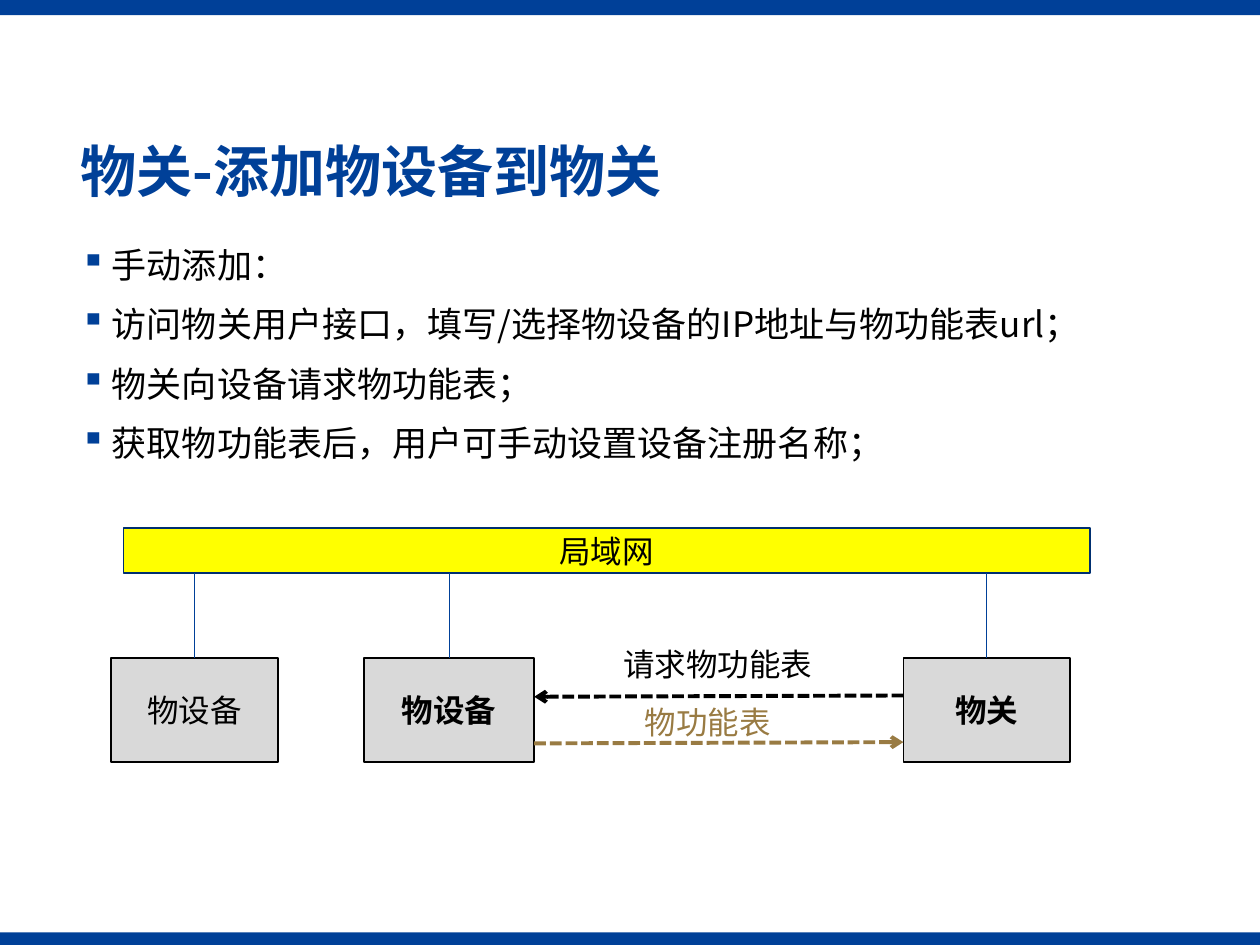
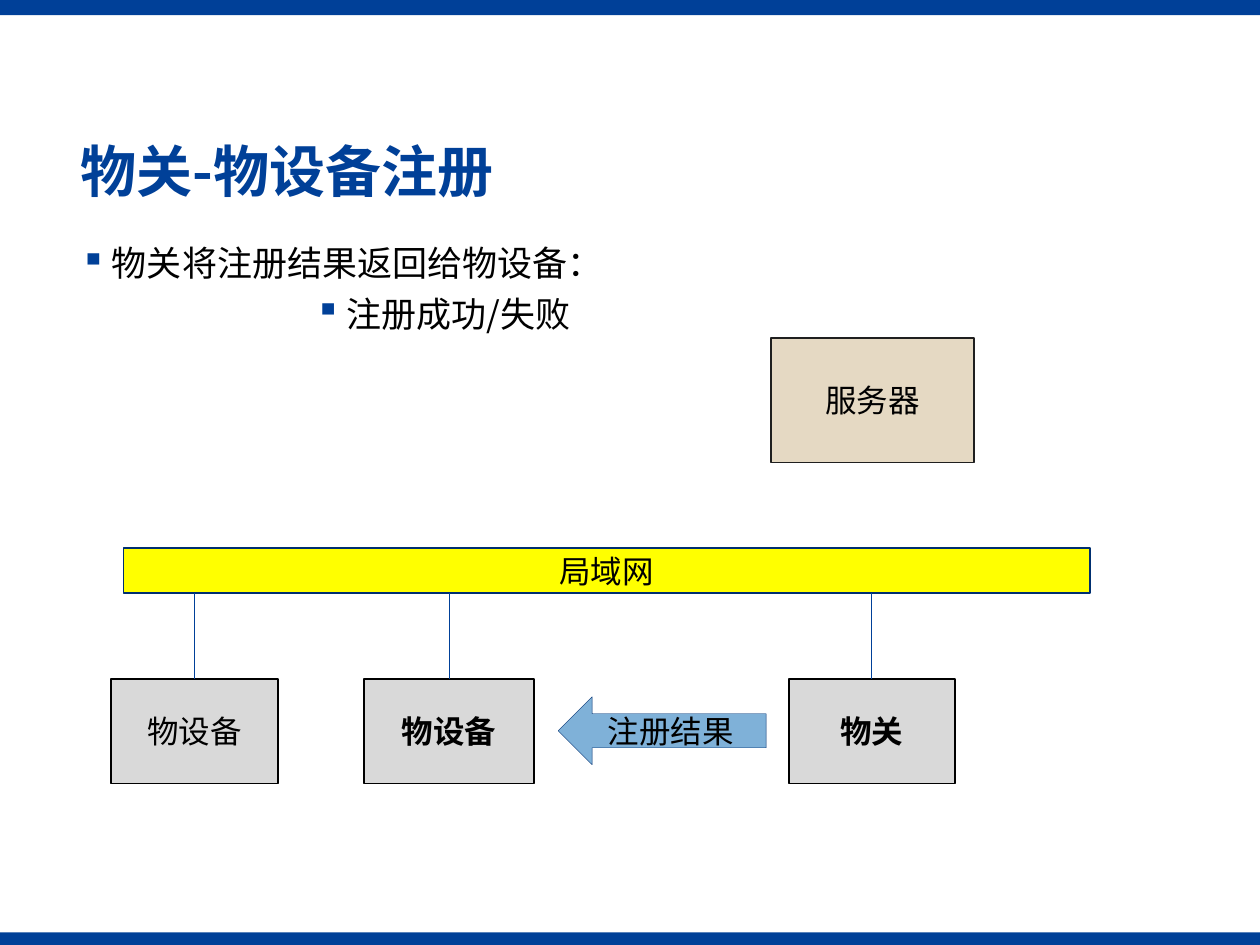
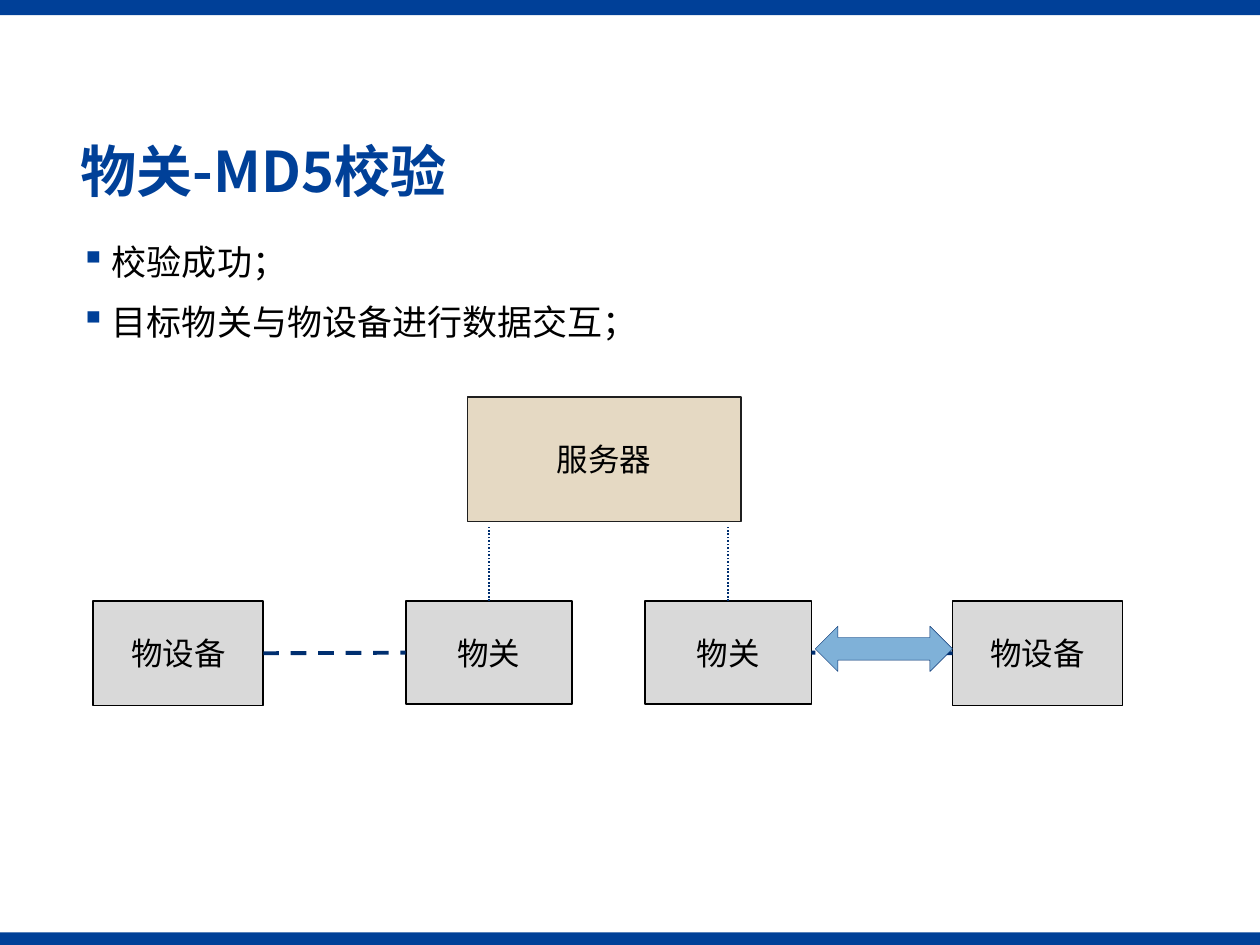
from dataclasses import dataclass

from lxml.etree import SubElement
from pptx import Presentation
from pptx.dml.color import RGBColor
from pptx.enum.dml import MSO_LINE
from pptx.enum.shapes import MSO_CONNECTOR, MSO_SHAPE
from pptx.enum.text import MSO_ANCHOR, MSO_AUTO_SIZE, PP_ALIGN
from pptx.oxml.ns import qn
from pptx.util import Inches, Pt


@dataclass(frozen=True)
class Theme:
    """Colours, font and type sizes of the deck."""
    blue: str = "004098"
    navy: str = "002F70"
    black: str = "000000"
    grey: str = "D9D9D9"
    yellow: str = "FFFF00"
    sand: str = "E5D9C3"
    charcoal: str = "1F1F1F"
    sky: str = "7FB1D8"
    bronze: str = "997B43"
    font: str = "Noto Sans CJK SC"
    title_size: int = 32
    body_size: int = 20
    label_size: int = 18


@dataclass(frozen=True)
class Box:
    """A rectangle on the page, in inches."""
    left: float
    top: float
    width: float
    height: float

    @property
    def lengths(self):
        """Return the four measures as lengths."""
        return [Inches(side) for side in (self.left, self.top, self.width, self.height)]

    def inner(self, left, top, width, height):
        """Return a box placed relative to this one."""
        return Box(self.left + left, self.top + top, width, height)


THEME = Theme()
PAGE = Box(0, 0, 10, 7.5)
TITLE = Box(0.54, 1.07, 9.16, 0.63)


def color(code):
    """Turn a hex code into a colour."""
    return RGBColor.from_string(code)


def style_text(para, size, tint=THEME.black, bold=False):
    """Set the font of a paragraph for Latin and East Asian text."""
    para.font.name = THEME.font
    para.font.size = Pt(size)
    para.font.bold = bold
    para.font.color.rgb = color(tint)
    defaults = para._p.pPr.find(qn("a:defRPr"))
    SubElement(defaults, qn("a:ea"), typeface=THEME.font)


def add_block(page, box, fill, line=None, weight=1, text="", bold=False, kind=MSO_SHAPE.RECTANGLE):
    """Add a filled shape with an optional centred label."""
    shape = page.shapes.add_shape(kind, *box.lengths)
    shape.shadow.inherit = False
    shape.fill.solid()
    shape.fill.fore_color.rgb = color(fill)
    if line:
        shape.line.color.rgb = color(line)
        shape.line.width = Pt(weight)
    else:
        shape.line.fill.background()
    if text:
        shape.text_frame.vertical_anchor = MSO_ANCHOR.MIDDLE
        para = shape.text_frame.paragraphs[0]
        para.text = text
        para.alignment = PP_ALIGN.CENTER
        style_text(para, THEME.label_size, bold=bold)
    return shape


def add_node(page, box, text, bold=False):
    """Add a grey device or gateway."""
    return add_block(page, box, THEME.grey, THEME.black, text=text, bold=bold)


def add_server(page, box):
    """Add the server block."""
    return add_block(page, box, THEME.sand, THEME.charcoal, text="服务器")


def add_line(page, start, end, tint, weight, dash=None, arrow=False):
    """Add a straight connector, with an arrowhead at its end if wanted."""
    points = [Inches(value) for value in (*start, *end)]
    line = page.shapes.add_connector(MSO_CONNECTOR.STRAIGHT, *points)
    line.line.color.rgb = color(tint)
    line.line.width = Pt(weight)
    if dash:
        line.line.dash_style = dash
    if arrow:
        SubElement(line.line._get_or_add_ln(), qn("a:tailEnd"), type="arrow")
    SubElement(line._element.spPr, qn("a:effectLst"))
    return line


def add_label(page, box, text, tint):
    """Add a caption that does not wrap."""
    frame = page.shapes.add_textbox(*box.lengths).text_frame
    frame.word_wrap = False
    frame.auto_size = MSO_AUTO_SIZE.SHAPE_TO_FIT_TEXT
    frame.text = text
    style_text(frame.paragraphs[0], THEME.label_size, tint)


def add_title(page, box, text):
    """Add the slide title."""
    frame = page.shapes.add_textbox(*box.lengths).text_frame
    frame.word_wrap = True
    frame.vertical_anchor = MSO_ANCHOR.MIDDLE
    frame.text = text
    para = frame.paragraphs[0]
    para.line_spacing = 0.9
    style_text(para, THEME.title_size, THEME.blue, bold=True)


def add_bullets(page, box, items):
    """Add bulleted paragraphs from pairs of level and text."""
    frame = page.shapes.add_textbox(*box.lengths).text_frame
    frame.word_wrap = True
    for index, (level, text) in enumerate(items):
        para = frame.add_paragraph() if index else frame.paragraphs[0]
        para.text = text
        para.level = level
        para.line_spacing = 1.0
        para.space_before = Pt((5 if level else 10) if index else 0)
        if level:
            para.alignment = PP_ALIGN.CENTER
        props = para._p.get_or_add_pPr()
        props.set("marL", str(Inches(0.25 + 0.5 * level)))
        props.set("indent", str(Inches(-0.25)))
        tint = SubElement(props, qn("a:buClr"))
        SubElement(tint, qn("a:srgbClr"), val=THEME.blue)
        SubElement(props, qn("a:buChar"), char="▪")
        style_text(para, THEME.body_size)


def add_page(deck, title, body, items):
    """Add a blank page with bands, title and bullets."""
    page = deck.slides.add_slide(deck.slide_layouts[6])
    add_block(page, PAGE.inner(0, 7.4, PAGE.width, 0.1), THEME.blue)
    add_block(page, PAGE.inner(0, 0, PAGE.width, 0.12), THEME.blue)
    add_bullets(page, body, items)
    add_title(page, TITLE, title)
    return page


def add_network(page, box, gateway_left):
    """Add the local network bar with two devices and a gateway below it."""
    bar = box.inner(0.1, 0, 7.67, 0.36)
    add_block(page, bar, THEME.yellow, THEME.navy, text="局域网")
    nodes = [(0, 1.33, "物设备", False), (2.01, 1.35, "物设备", True),
             (gateway_left, 1.32, "物关", True)]
    for left, width, text, bold in nodes:
        place = box.inner(left, box.height - 0.83, width, 0.83)
        node = add_node(page, place, text, bold)
        middle = place.left + width / 2
        drop = add_line(page, (middle, bar.top + bar.height), (middle, place.top), THEME.blue, 0.5)
        drop.end_connect(node, 0)


def add_exchange(page, box):
    """Add the request and its answer between device and gateway."""
    right = box.left + box.width
    request, answer = box.top + 0.45, box.top + 0.82
    add_line(page, (right, request), (box.left, request + 0.01), THEME.black, 2.25,
             MSO_LINE.SQUARE_DOT, arrow=True)
    add_line(page, (box.left, answer + 0.01), (right, answer), THEME.bronze, 2.25,
             MSO_LINE.SQUARE_DOT, arrow=True)
    add_label(page, box.inner(0.61, 0, 1.7, 0.4), "请求物功能表", THEME.black)
    add_label(page, box.inner(0.78, 0.46, 1.2, 0.4), "物功能表", THEME.bronze)


def add_server_tree(page, box):
    """Add a server above two gateways, each tied to a device."""
    add_server(page, box.inner(2.97, 0, 2.17, 0.99))
    for device_left, gateway_left, device_side in ((0, 2.48, 3), (6.82, 4.38, 1)):
        device = add_node(page, box.inner(device_left, 1.62, 1.35, 0.83), "物设备")
        place = box.inner(gateway_left, 1.62, 1.32, 0.82)
        gateway = add_node(page, place, "物关")
        link = add_line(page, (0, 0), (0, 0), THEME.navy, 2.25, MSO_LINE.DASH)
        link.begin_connect(device, device_side)
        link.end_connect(gateway, 4 - device_side)
        middle = place.left + place.width / 2
        uplink = add_line(page, (middle, place.top), (middle, box.top + 1.03), THEME.navy, 1,
                          MSO_LINE.ROUND_DOT)
        uplink.begin_connect(gateway, 0)
    add_block(page, box.inner(5.73, 1.82, 1.09, 0.36), THEME.sky, THEME.navy, 0.25,
              kind=MSO_SHAPE.LEFT_RIGHT_ARROW)


def add_device_page(deck):
    """Build the page on adding a device by hand."""
    page = add_page(deck, "物关-添加物设备到物关", Box(0.54, 1.88, 9.16, 2.3), [
        (0, "手动添加："),
        (0, "访问物关用户接口，填写/选择物设备的IP地址与物功能表url；"),
        (0, "物关向设备请求物功能表；"),
        (0, "获取物功能表后，用户可手动设置设备注册名称；"),
    ])
    add_network(page, Box(0.88, 4.19, 7.77, 1.86), 6.29)
    add_exchange(page, Box(4.24, 5.07, 2.93, 0.86))


def add_registration_page(deck):
    """Build the page on returning the registration result."""
    page = add_page(deck, "物关-物设备注册", Box(0.54, 1.87, 5.45, 2.3), [
        (0, "物关将注册结果返回给物设备："),
        (1, "注册成功/失败"),
    ])
    add_network(page, Box(0.88, 4.35, 7.77, 1.87), 5.38)
    add_server(page, Box(6.12, 2.68, 1.61, 0.99))
    add_block(page, Box(4.43, 5.53, 1.65, 0.54), THEME.sky, THEME.navy, 0.25, "注册结果",
              kind=MSO_SHAPE.LEFT_ARROW)


def add_check_page(deck):
    """Build the page on the MD5 check."""
    page = add_page(deck, "物关-MD5校验", Box(0.54, 1.86, 9.16, 5.36), [
        (0, "校验成功；"),
        (0, "目标物关与物设备进行数据交互；"),
    ])
    add_server_tree(page, Box(0.74, 3.15, 8.17, 2.45))


def main():
    """Build and save the deck."""
    deck = Presentation()
    deck.slide_width = Inches(PAGE.width)
    deck.slide_height = Inches(PAGE.height)
    add_device_page(deck)
    add_registration_page(deck)
    add_check_page(deck)
    deck.save("out.pptx")


if __name__ == "__main__":
    main()
